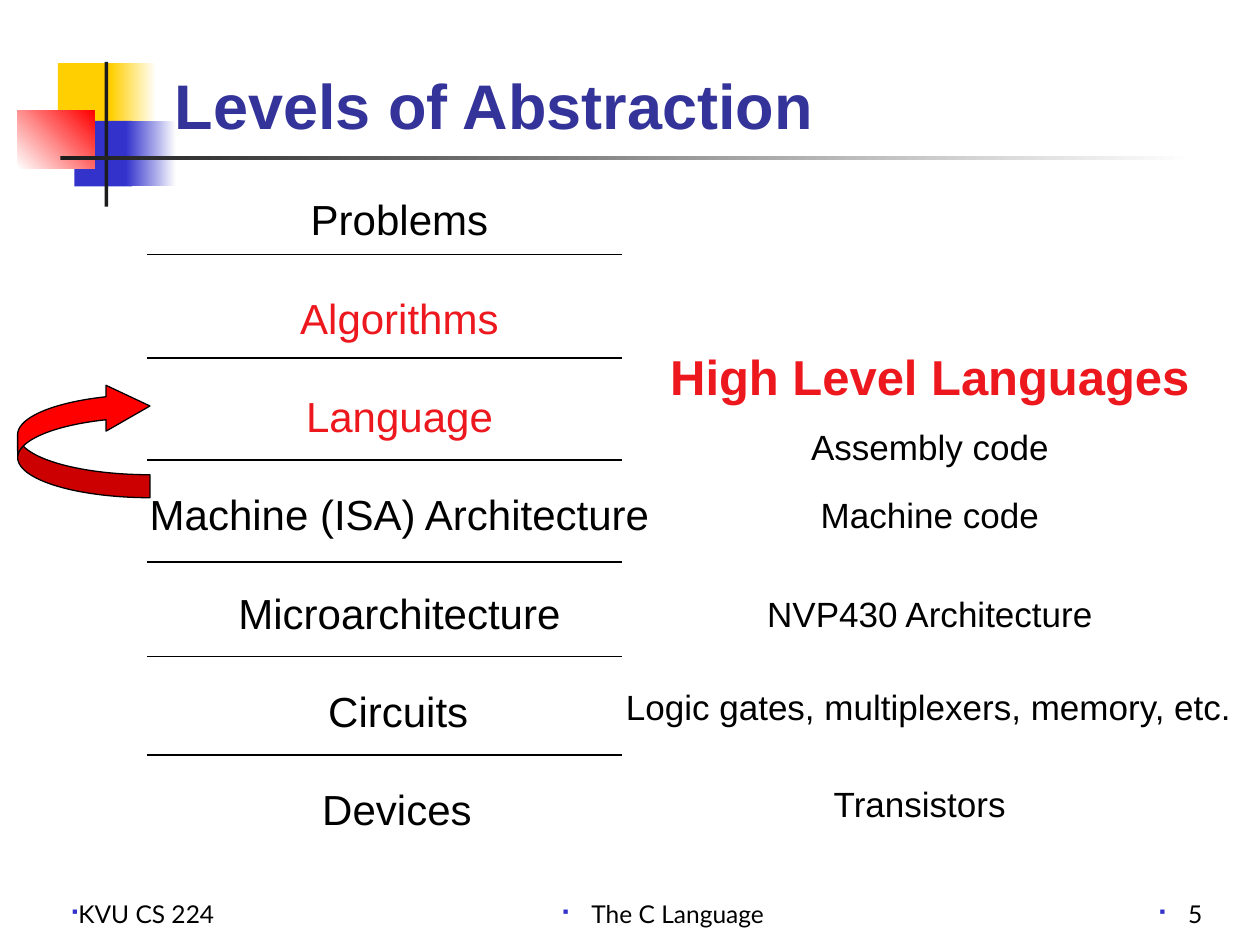
from typing import NamedTuple, Optional

from lxml import etree
from pptx import Presentation
from pptx import util as u
from pptx.dml.color import RGBColor
from pptx.enum import shapes, text
from pptx.oxml.ns import qn

COLORS = {
    "yellow": "FFCF01", "blue": "3333CC", "red": "FF0000", "dark": "1C1C1C",
    "white": "FFFFFF", "black": "000000", "title": "333399", "accent": "ED181E",
}
ALIGN = text.PP_ALIGN
ANCHOR = text.MSO_ANCHOR


class Block(NamedTuple):
    left: float
    top: float
    width: float
    height: float
    start: str
    end: Optional[str] = None
    angle: int = 0


class Label(NamedTuple):
    words: str
    center: float
    top: float
    width: float
    height: float = 0.5
    size: int = 24
    color: str = "black"
    bold: bool = False


class Footer(NamedTuple):
    words: str
    left: float
    width: float
    align: ALIGN
    margin: float
    indent: float


LEVEL_TOP, LEVEL_STEP = 1.49, 0.78
LEVELS = [
    ("Problems", 3.17, 1.61, "black"),
    ("Algorithms", 3.17, 1.78, "accent"),
    ("Language", 3.17, 1.69, "accent"),
    ("Machine (ISA) Architecture", 3.17, 4.19, "black"),
    ("Microarchitecture", 3.17, 2.76, "black"),
    ("Circuits", 3.16, 1.31, "black"),
    ("Devices", 3.15, 1.39, "black"),
]
RULE_LEFT, RULE_RIGHT = 1.17, 4.94
RULE_TOPS = [2.02, 2.84, 3.65, 4.46, 5.21, 5.99]
EXAMPLES = [
    Label("Transistors", 7.3, 6.16, 1.57, 0.43, 20),
    Label("Logic gates, multiplexers, memory, etc.", 7.37, 5.39, 5.01, 0.43, 20),
    Label("NVP430 Architecture", 7.38, 4.65, 2.82, 0.43, 20),
    Label("Machine code", 7.38, 3.87, 1.93, 0.43, 20),
    Label("Assembly code", 7.38, 3.33, 2.09, 0.43, 20),
    Label("High Level Languages", 7.38, 2.7, 4.34, 0.57, 28, "accent", True),
]
BLOCKS = [
    Block(0.46, 0.5, 0.48, 0.52, "yellow"),
    Block(0.88, 0.5, 0.36, 0.52, "yellow", "white"),
    Block(0.59, 0.96, 0.46, 0.52, "blue"),
    Block(1, 0.96, 0.4, 0.52, "blue", "white"),
    Block(0.14, 0.88, 0.61, 0.46, "white", "red", 45),
    Block(0.83, 0.49, 0.03, 1.15, "dark"),
    Block(0.48, 1.24, 9, 0.03, "dark", "white"),
]
FOOTERS = [
    Footer("KVU CS 224", 0.47, 2.08, ALIGN.LEFT, 0, 0),
    Footer("The C Language", 2.78, 5.13, ALIGN.CENTER, 0.07, -0.23),
    Footer("5", 7.56, 2.08, ALIGN.RIGHT, 0.07, -0.23),
]


def rgb(name: str) -> RGBColor:
    """Return the named colour."""
    return RGBColor.from_string(COLORS[name])


def add_block(slide, block: Block) -> None:
    """Draw a solid or gradient rectangle."""
    shape = slide.shapes.add_shape(shapes.MSO_SHAPE.RECTANGLE, *map(u.Inches, block[:4]))
    shape.shadow.inherit = False
    shape.line.fill.background()
    if block.end is None:
        shape.fill.solid()
        shape.fill.fore_color.rgb = rgb(block.start)
        return
    shape.fill.gradient()
    shape.fill.gradient_angle = block.angle
    for stop, name in zip(shape.fill.gradient_stops, (block.start, block.end)):
        stop.color.rgb = rgb(name)


def add_text(slide, words: str, box: tuple, font: dict, color: str, align: ALIGN, frame: dict):
    """Write one paragraph in a text box and return the paragraph."""
    text_frame = slide.shapes.add_textbox(*map(u.Inches, box)).text_frame
    for name, value in frame.items():
        setattr(text_frame, name, value)
    paragraph = text_frame.paragraphs[0]
    paragraph.alignment = align
    run = paragraph.add_run()
    run.text = words
    for name, value in font.items():
        setattr(run.font, name, value)
    run.font.color.rgb = rgb(color)
    return paragraph


def add_label(slide, label: Label) -> None:
    """Write a centred, unwrapped label."""
    box = (label.center - label.width / 2, label.top, label.width, label.height)
    font = {"name": "Arial", "size": u.Pt(label.size), "bold": label.bold}
    frame = {"word_wrap": False, "auto_size": text.MSO_AUTO_SIZE.SHAPE_TO_FIT_TEXT}
    add_text(slide, label.words, box, font, label.color, ALIGN.CENTER, frame)


def add_footer(slide, footer: Footer) -> None:
    """Write a footer item with a square bullet."""
    box = (footer.left, 6.92, footer.width, 0.5)
    font = {"name": "Lato", "size": u.Pt(14)}
    frame = {"word_wrap": True, "vertical_anchor": ANCHOR.BOTTOM}
    paragraph = add_text(slide, footer.words, box, font, "black", footer.align, frame)
    properties = paragraph._p.get_or_add_pPr()
    properties.set("marL", str(u.Inches(footer.margin)))
    properties.set("indent", str(u.Inches(footer.indent)))
    color = etree.SubElement(properties, qn("a:buClr"))
    etree.SubElement(color, qn("a:srgbClr"), val=COLORS["blue"])
    etree.SubElement(properties, qn("a:buSzPct"), val="60000")
    etree.SubElement(properties, qn("a:buFont"), typeface="Wingdings")
    etree.SubElement(properties, qn("a:buChar"), char="§")


def add_rule(slide, top: float) -> None:
    """Draw a line between two levels."""
    ends = map(u.Inches, (RULE_LEFT, top, RULE_RIGHT, top))
    rule = slide.shapes.add_connector(shapes.MSO_CONNECTOR.STRAIGHT, *ends)
    rule.line.color.rgb = rgb("black")
    rule.line.width = u.Pt(1)
    etree.SubElement(rule._element.spPr, qn("a:effectLst"))


def add_arrow(slide) -> None:
    """Draw the curved arrow that climbs to the language level."""
    box = map(u.Inches, (0.14, 3.04, 1.05, 0.91))
    arrow = slide.shapes.add_shape(shapes.MSO_SHAPE.CURVED_RIGHT_ARROW, *box)
    arrow.shadow.inherit = False
    for index, value in enumerate((0.2, 0.4, 0.383)):
        arrow.adjustments[index] = value
    arrow._element.spPr.find(qn("a:xfrm")).set("flipV", "1")
    arrow.fill.solid()
    arrow.fill.fore_color.rgb = rgb("red")
    arrow.line.color.rgb = rgb("black")
    arrow.line.width = u.Pt(0.75)


def main() -> None:
    """Build and save the slide."""
    presentation = Presentation()
    presentation.slide_width, presentation.slide_height = u.Inches(10), u.Inches(7.5)
    slide = presentation.slides.add_slide(presentation.slide_layouts[6])
    for block in BLOCKS:
        add_block(slide, block)
    for footer in FOOTERS:
        add_footer(slide, footer)
    add_text(slide, "Levels of Abstraction", (1.29, 0.23, 8.52, 0.95),
             {"name": "Arial", "size": u.Pt(36), "bold": True}, "title", ALIGN.LEFT,
             {"word_wrap": True, "vertical_anchor": ANCHOR.BOTTOM})
    for row, (words, center, width, color) in enumerate(LEVELS):
        top = LEVEL_TOP + row * LEVEL_STEP
        add_label(slide, Label(words, center, top, width, color=color))
    for top in RULE_TOPS:
        add_rule(slide, top)
    for example in EXAMPLES:
        add_label(slide, example)
    add_arrow(slide)
    presentation.save("out.pptx")


if __name__ == "__main__":
    main()
